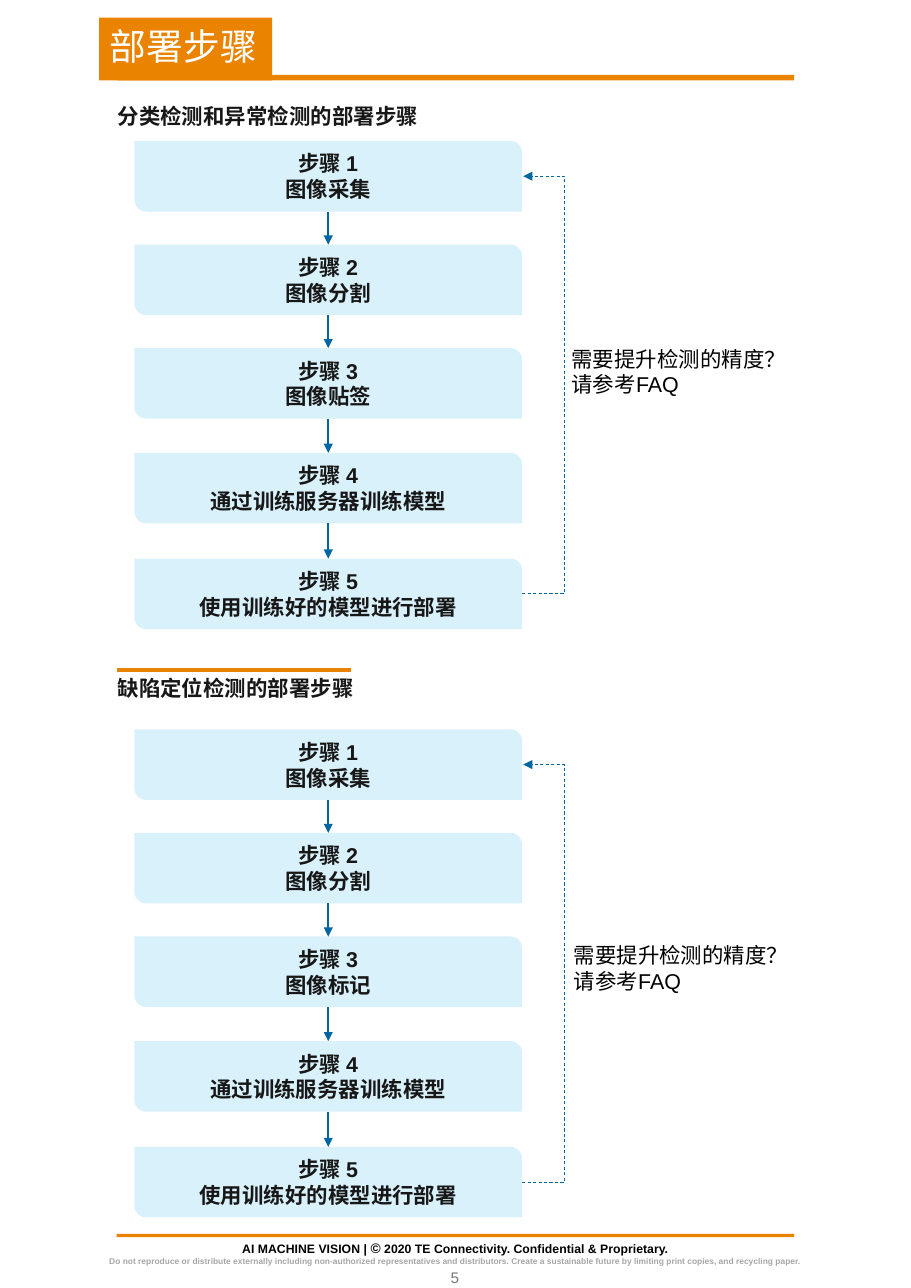
from lxml import etree
from pptx import Presentation
from pptx import util as u
from pptx.dml import color
from pptx.enum import dml, shapes, text
from pptx.oxml import ns

COLORS = {
    "orange": "E98300", "blue": "0066A1", "pale": "D8F1FA", "ink": "181717",
    "black": "000000", "white": "FFFFFF", "gray": "A6A6A6", "number": "747678",
}
STEP_LEFT, STEP_WIDTH, STEP_HEIGHT = 1.22, 3.52, 0.64
STEP_OFFSETS = (0, 0.94, 1.88, 2.83, 3.79)
LOOP_X = 5.13


def rgb(name):
    return color.RGBColor.from_string(COLORS[name])


def style_run(r, size, tint, bold=False):
    r.font.name = "Arial"
    r.font.size = u.Pt(size)
    r.font.bold = bold
    r.font.color.rgb = rgb(tint)


def write(tf, content, size, tint, bold=False, align=text.PP_ALIGN.LEFT):
    tf.text = content
    for p in tf.paragraphs:
        p.alignment = align
        for r in p.runs:
            style_run(r, size, tint, bold)


def add_block(s, kind, left, top, width, height, fill):
    sp = s.shapes.add_shape(kind, *map(u.Inches, (left, top, width, height)))
    sp.shadow.inherit = False
    sp.fill.solid()
    sp.fill.fore_color.rgb = rgb(fill)
    sp.line.fill.background()
    return sp


def add_bar(s, left, top, width, height):
    return add_block(s, shapes.MSO_SHAPE.RECTANGLE, left, top, width, height, "orange")


def add_label(s, left, top, width, height, content, size, tint, **style):
    sp = s.shapes.add_textbox(*map(u.Inches, (left, top, width, height)))
    sp.text_frame.word_wrap = True
    write(sp.text_frame, content, size, tint, **style)
    return sp


def add_line(s, start, end, tint, weight, arrow=False,
             kind=shapes.MSO_CONNECTOR.STRAIGHT):
    sp = s.shapes.add_connector(kind, *map(u.Inches, start + end))
    sp.line.color.rgb = rgb(tint)
    sp.line.width = u.Pt(weight)
    if arrow:
        etree.SubElement(sp.line._get_or_add_ln(), ns.qn("a:tailEnd"), type="triangle")
    etree.SubElement(sp._element.spPr, ns.qn("a:effectLst"))
    return sp


def add_loop(s, bottom, top):
    right = STEP_LEFT + STEP_WIDTH
    sp = add_line(s, (right, bottom), (right + 0.01, top), "blue", 0.5, True,
                  shapes.MSO_CONNECTOR.ELBOW)
    sp.line.dash_style = dml.MSO_LINE.DASH
    guides = sp._element.spPr.find(ns.qn("a:prstGeom")).get_or_add_avLst()
    bend = round((LOOP_X - right) / 0.01 * 100000)
    etree.SubElement(guides, ns.qn("a:gd"), name="adj1", fmla=f"val {bend}")


def add_step(s, top, number, name):
    sp = add_block(s, shapes.MSO_SHAPE.ROUND_2_DIAG_RECTANGLE,
                   STEP_LEFT, top, STEP_WIDTH, STEP_HEIGHT, "pale")
    sp.adjustments[0] = 0
    sp.adjustments[1] = 0.16667
    sp.text_frame.word_wrap = True
    sp.text_frame.vertical_anchor = text.MSO_ANCHOR.MIDDLE
    write(sp.text_frame, f"步骤 {number}\n{name}", 14, "ink", True,
          text.PP_ALIGN.CENTER)


def add_flow(s, heading, heading_top, top, third_step, note_left, note_top):
    add_label(s, 0.97, heading_top, 6.46, 0.34, heading, 14, "ink", bold=True)
    names = ("图像采集", "图像分割", third_step,
             "通过训练服务器训练模型", "使用训练好的模型进行部署")
    tops = [top + offset for offset in STEP_OFFSETS]
    for number, (step_top, name) in enumerate(zip(tops, names), 1):
        add_step(s, step_top, number, name)
    center = STEP_LEFT + STEP_WIDTH / 2
    for upper, lower in zip(tops, tops[1:]):
        add_line(s, (center, upper + STEP_HEIGHT), (center, lower), "blue", 1.5, True)
    add_loop(s, tops[-1] + STEP_HEIGHT / 2, top + STEP_HEIGHT / 2)
    add_label(s, note_left, note_top, 2.55, 0.57,
              "需要提升检测的精度？\n请参考FAQ", 14, "black")


def add_title(s):
    sp = add_bar(s, 0.9, 0.16, 1.57, 0.57)
    sp.text_frame.vertical_anchor = text.MSO_ANCHOR.MIDDLE
    write(sp.text_frame, "部署步骤", 24, "white")
    sp.text_frame.paragraphs[0].line_spacing = 0.9


def add_footer(s):
    center = text.PP_ALIGN.CENTER
    sp = add_label(s, 0.59, 11.2, 7.09, 0.49, "AI MACHINE VISION | ", 8, "black",
                   bold=True, align=center)
    tf = sp.text_frame
    tf.word_wrap = False
    for content, size in (("©", 9), (" 2020 TE Connectivity. Confidential & Proprietary.", 8)):
        r = tf.paragraphs[0].add_run()
        r.text = content
        style_run(r, size, "black", True)
    p = tf.add_paragraph()
    p.text = ("Do not reproduce or distribute externally including non-authorized "
              "representatives and distributors. Create a sustainable future by "
              "limiting print copies, and recycling paper.")
    p.alignment = center
    style_run(p.runs[0], 5.5, "gray", True)
    add_bar(s, 1.06, 11.2, 6.15, 0.03)
    add_label(s, 3.92, 11.46, 0.42, 0.31, "5", 10, "number", align=center)


def main():
    prs = Presentation()
    prs.slide_width, prs.slide_height = u.Inches(8.27), u.Inches(11.69)
    s = prs.slides.add_slide(prs.slide_layouts[6])
    add_bar(s, 1.06, 0.68, 6.15, 0.05)
    add_footer(s)
    add_title(s)
    add_flow(s, "分类检测和异常检测的部署步骤", 0.89, 1.28, "图像贴签", 5.09, 3.09)
    add_flow(s, "缺陷定位检测的部署步骤", 6.08, 6.62, "图像标记", 5.11, 8.5)
    add_line(s, (1.06, 6.08), (3.19, 6.08), "orange", 3)
    prs.save("out.pptx")


if __name__ == "__main__":
    main()
